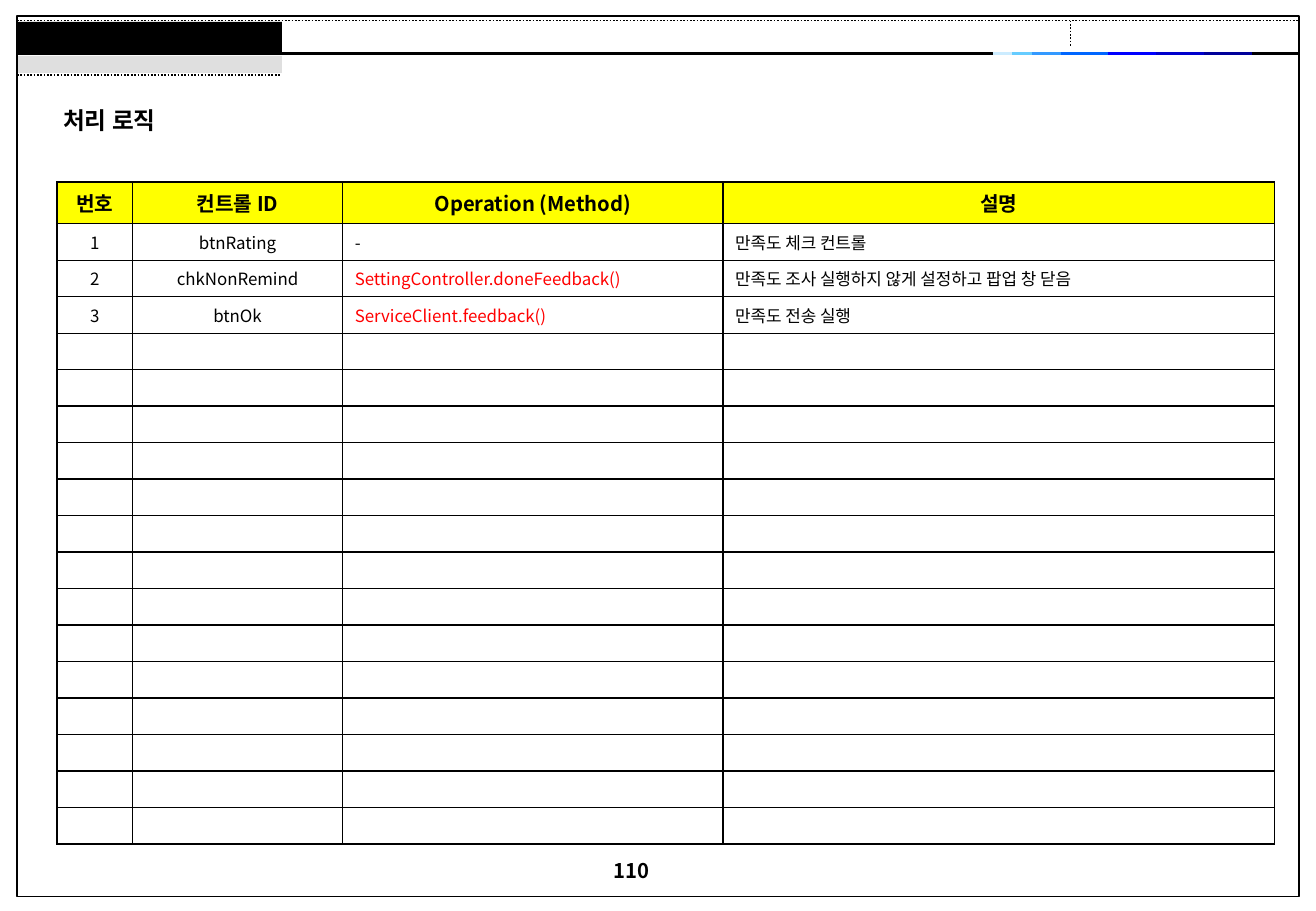
"""Build the processing-logic slide with its control table."""
import dataclasses
import itertools
import typing

import lxml.etree
import pptx
import pptx.dml.color
import pptx.enum.dml
import pptx.enum.shapes
import pptx.enum.text
import pptx.oxml
import pptx.oxml.ns
import pptx.text.text
import pptx.util

Inches = pptx.util.Inches
Pt = pptx.util.Pt
qn = pptx.oxml.ns.qn
ALIGN = pptx.enum.text.PP_ALIGN
MIDDLE = pptx.enum.text.MSO_ANCHOR.MIDDLE
FONT = "Noto Sans CJK KR"
BLACK, RED, YELLOW = "000000", "FF0000", "FFFF00"


@dataclasses.dataclass
class Line:
    x1: float
    y1: float
    x2: float
    y2: float
    color: str = BLACK
    width: float = 2.25
    dotted: bool = False


@dataclasses.dataclass
class Box:
    x: float
    y: float
    w: float
    h: float
    fill: typing.Optional[str] = None
    alpha: int = 100
    outline: typing.Optional[str] = None


BAND_STOPS = [8.17, 8.33, 8.49, 8.73, 9.12, 9.51, 9.91, 10.3]
BAND_COLORS = ["CCECFF", "66CCFF", "3399FF", "0066FF", "0000FF", "0000CC", "000099"]

BOXES = [
    Box(0.14, 0.13, 10.55, 7.25, outline=BLACK),
    Box(0.15, 0.18, 2.17, 0.25, fill=BLACK),
    Box(0.15, 0.46, 2.17, 0.14, fill="C0C0C0", alpha=50),
]
LINES = [
    Line(0.14, 0.44, 10.69, 0.44),
    Line(0.14, 0.17, 10.69, 0.17, width=1, dotted=True),
    Line(8.81, 0.17, 8.81, 0.38, width=1, dotted=True),
    Line(0.14, 0.62, 2.31, 0.62, width=1, dotted=True),
] + [
    Line(a, 0.44, b, 0.44, color)
    for (a, b), color in zip(itertools.pairwise(BAND_STOPS), BAND_COLORS)
]

HEADER = ["번호", "컨트롤 ID", "Operation (Method)", "설명"]
CONTROLS = [
    ["1", "btnRating", "-", "만족도 체크 컨트롤"],
    ["2", "chkNonRemind", "SettingController.doneFeedback()",
     "만족도 조사 실행하지 않게 설정하고 팝업 창 닫음"],
    ["3", "btnOk", "ServiceClient.feedback()", "만족도 전송 실행"],
]
EMPTY_ROWS = 14
COL_WIDTHS = [0.62, 1.73, 3.13, 4.54]
HEADER_HEIGHT, ROW_HEIGHT = 0.34, 0.3


def rgb(color: str) -> pptx.dml.color.RGBColor:
    return pptx.dml.color.RGBColor.from_string(color)


def write(tf, text: str, size: float = 10, bold: bool = False,
          color: str = BLACK, align=ALIGN.LEFT) -> None:
    p = tf.paragraphs[0]
    p.alignment = align
    if text:
        r = p.add_run()
        r.text = text
        props = r._r.get_or_add_rPr()
    else:
        props = p._p.get_or_add_endParaRPr()
    font = pptx.text.text.Font(props)
    font.size, font.bold, font.name = Pt(size), bold, FONT
    font.color.rgb = rgb(color)
    lxml.etree.SubElement(props, qn("a:ea"), typeface=FONT)


def draw_box(slide, box: Box) -> None:
    sp = slide.shapes.add_shape(
        pptx.enum.shapes.MSO_SHAPE.RECTANGLE,
        Inches(box.x), Inches(box.y), Inches(box.w), Inches(box.h))
    sp.shadow.inherit = False
    if box.fill:
        sp.fill.solid()
        sp.fill.fore_color.rgb = rgb(box.fill)
        if box.alpha < 100:
            clr = sp._element.spPr.find(".//" + qn("a:srgbClr"))
            lxml.etree.SubElement(clr, qn("a:alpha"), val=str(box.alpha * 1000))
    else:
        sp.fill.background()
    if box.outline:
        sp.line.color.rgb = rgb(box.outline)
        sp.line.width = Pt(1)
    else:
        sp.line.fill.background()


def draw_line(slide, line: Line) -> None:
    cxn = slide.shapes.add_connector(
        pptx.enum.shapes.MSO_CONNECTOR.STRAIGHT,
        Inches(line.x1), Inches(line.y1), Inches(line.x2), Inches(line.y2))
    cxn.line.color.rgb = rgb(line.color)
    cxn.line.width = Pt(line.width)
    if line.dotted:
        cxn.line.dash_style = pptx.enum.dml.MSO_LINE.ROUND_DOT
    lxml.etree.SubElement(cxn._element.spPr, qn("a:effectLst"))


def add_borders(cell) -> None:
    props = cell._tc.get_or_add_tcPr()
    for side in ("lnL", "lnR", "lnT", "lnB"):
        ln = lxml.etree.SubElement(props, qn("a:" + side), w=str(Pt(1)))
        fill = lxml.etree.SubElement(ln, qn("a:solidFill"))
        lxml.etree.SubElement(fill, qn("a:srgbClr"), val=BLACK)


def draw_table(slide) -> None:
    rows = [HEADER] + CONTROLS + [[""] * len(HEADER)] * EMPTY_ROWS
    height = HEADER_HEIGHT + ROW_HEIGHT * (len(rows) - 1)
    table = slide.shapes.add_table(
        len(rows), len(HEADER), Inches(0.47), Inches(1.5),
        Inches(sum(COL_WIDTHS)), Inches(height)).table
    table.horz_banding = False
    for column, width in zip(table.columns, COL_WIDTHS):
        column.width = Inches(width)
    for i, row in enumerate(rows):
        is_header = i == 0
        table.rows[i].height = Inches(HEADER_HEIGHT if is_header else ROW_HEIGHT)
        for j, text in enumerate(row):
            cell = table.cell(i, j)
            cell.vertical_anchor = MIDDLE
            add_borders(cell)
            if is_header:
                cell.fill.solid()
                cell.fill.fore_color.rgb = rgb(YELLOW)
            else:
                cell.fill.background()
            write(cell.text_frame, text, size=12 if is_header else 10, bold=is_header,
                  color=RED if text.endswith("()") else BLACK,
                  align=ALIGN.CENTER if is_header or j < 2 else ALIGN.LEFT)


def main() -> None:
    prs = pptx.Presentation()
    prs.slide_width, prs.slide_height = Inches(10.83), Inches(7.5)
    slide = prs.slides.add_slide(prs.slide_layouts[5])

    for box in BOXES:
        draw_box(slide, box)
    for line in LINES:
        draw_line(slide, line)

    title = slide.shapes.title
    title.left, title.top = Inches(0.42), Inches(0.82)
    title.width, title.height = Inches(2.01), Inches(0.34)
    title.text_frame.auto_size = pptx.enum.text.MSO_AUTO_SIZE.NONE
    title.text_frame.vertical_anchor = MIDDLE
    write(title.text_frame, "처리 로직", size=14, bold=True)

    draw_table(slide)

    page = slide.shapes.add_textbox(Inches(4.95), Inches(7.02), Inches(0.94), Inches(0.36))
    page.text_frame.word_wrap = True
    write(page.text_frame, "110", size=12, bold=True)

    prs.save("out.pptx")


if __name__ == "__main__":
    main()
